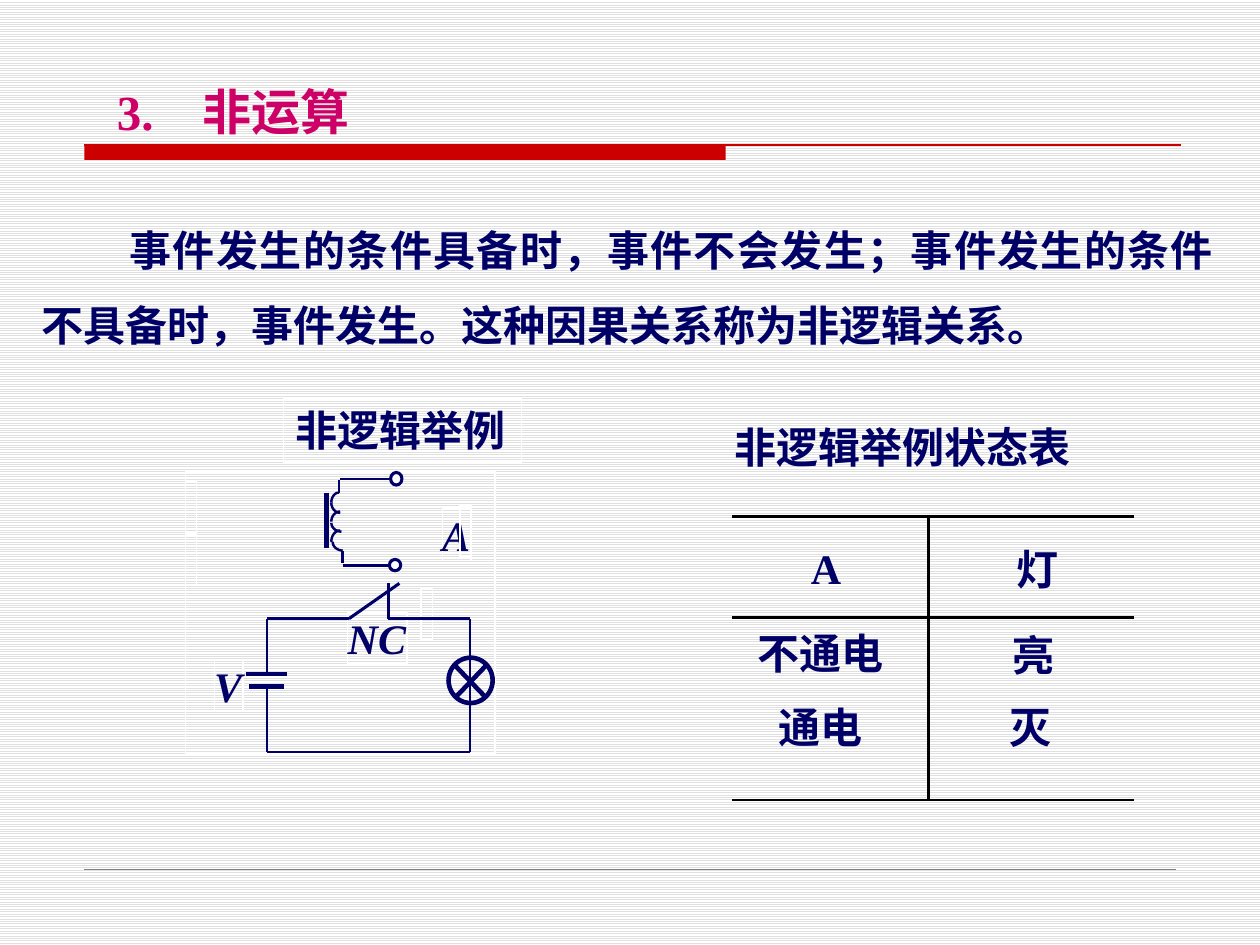
from dataclasses import dataclass
from math import cos, pi, sin

from lxml.etree import SubElement
from pptx import Presentation
from pptx.dml.color import RGBColor as Color
from pptx.enum.dml import MSO_PATTERN as Pattern
from pptx.enum.lang import MSO_LANGUAGE_ID as Language
from pptx.enum.shapes import MSO_CONNECTOR as Connector, MSO_SHAPE as Shape
from pptx.enum.text import MSO_ANCHOR as Anchor, MSO_AUTO_SIZE as AutoSize, PP_ALIGN as Align
from pptx.oxml.ns import qn
from pptx.util import Inches, Pt


@dataclass(frozen=True)
class Theme:
    font: str = "Times New Roman"
    ink: str = "000066"
    title: str = "CC0066"
    accent: str = "CC0000"
    rule: str = "000000"
    footer: str = "808080"
    white: str = "FFFFFF"
    stripe: str = "E0E0E0"
    title_size: int = 28
    body_size: int = 24
    wire: float = 1.38
    switch: float = 1.75
    heavy: float = 2.63
    table: float = 1.5
    thin: float = 0.75


THEME = Theme()

TITLE = "3.　非运算"
BODY = ("事件发生的条件具备时，事件不会发生；事件发生的条件"
        "不具备时，事件发生。这种因果关系称为非逻辑关系。")
CIRCUIT_TITLE = "非逻辑举例"
TABLE_TITLE = "非逻辑举例状态表"

# text, (left, top, width, height), inset, line spacing
STATES = [
    ("A", (6.27, 4.35, 0.57, 0.36), False, 0.9),
    ("灯", (8.07, 4.31, 0.28, 0.4), False, 1.0),
    ("不通电", (5.91, 4.93, 1.21, 0.5), True, 1.0),
    ("亮", (7.93, 4.95, 0.54, 0.5), True, 1.0),
    ("通电", (6.08, 5.52, 0.87, 0.5), True, 1.0),
    ("灭", (7.91, 5.52, 0.54, 0.5), True, 1.0),
]
TABLE_LEFT, TABLE_RIGHT, TABLE_DIVIDER = 5.81, 9, 7.37
TABLE_RULES = [4.1, 4.9, 6.35]

CIRCUIT_LABELS = [
    ("A", (3.51, 4.04, 0.23, 0.41)),
    ("V", (1.7, 5.24, 0.23, 0.41)),
    ("NC", (2.76, 4.86, 0.47, 0.41)),
]
CIRCUIT_FRAME = (1.47, 3.74, 2.46, 2.24)
SMALL_FRAMES = [(1.47, 3.82), (1.47, 4.24), (3.65, 4.01), (3.34, 4.67)]
SMALL_FRAME_SIZE = (0.09, 0.41)

# Loop geometry: battery side, lamp side, top and bottom wires
LEFT, RIGHT, TOP, BOTTOM = 2.12, 3.73, 4.91, 5.97
SWITCH_LEFT, SWITCH_RIGHT = 2.77, 3.08
SEGMENTS = {
    THEME.wire: [
        (2.7, 3.8, 3.14, 3.8), (2.69, 3.81, 2.69, 3.91),
        (2.72, 4.37, 2.72, 4.47), (2.72, 4.49, 3.14, 4.49),
        (LEFT, TOP, SWITCH_LEFT, TOP), (SWITCH_RIGHT, TOP, RIGHT, TOP),
        (LEFT, TOP, LEFT, 5.34), (LEFT, 5.45, LEFT, BOTTOM),
        (RIGHT, BOTTOM, LEFT, BOTTOM), (RIGHT, TOP, RIGHT, BOTTOM),
    ],
    THEME.switch: [
        (SWITCH_LEFT, TOP, 3.17, 4.63), (SWITCH_RIGHT, TOP, SWITCH_RIGHT, 4.63),
    ],
    THEME.heavy: [
        (1.95, 5.35, 2.28, 5.35), (1.98, 5.45, 2.25, 5.45),
        (3.61, 5.28, 3.86, 5.54), (3.61, 5.54, 3.86, 5.28),
        (2.59, 3.91, 2.59, 4.35),
    ],
}
LAMP = (3.56, 5.22, 0.35, 0.36)
TERMINALS = [(3.1, 3.75, 0.09, 0.1), (3.09, 4.44, 0.09, 0.09)]
# quarter turns of the coil: (right end x, y), (left end x, y)
COIL_ARCS = [
    ((2.69, 3.91), (2.63, 3.99)), ((2.7, 4.07), (2.63, 3.99)),
    ((2.7, 4.06), (2.63, 4.14)), ((2.71, 4.22), (2.63, 4.15)),
    ((2.7, 4.21), (2.63, 4.3)), ((2.72, 4.37), (2.64, 4.3)),
]


def rgb(value):
    return Color.from_string(value)


def add_line(slide, ends, color, width):
    line = slide.shapes.add_connector(Connector.STRAIGHT, *map(Inches, ends))
    line.line.color.rgb = rgb(color)
    line.line.width = Pt(width)
    SubElement(line._element.spPr, qn("a:effectLst"))


def style_shape(shape, fill=None, color=None, width=THEME.thin):
    shape.shadow.inherit = False
    if fill:
        shape.fill.solid()
        shape.fill.fore_color.rgb = rgb(fill)
    else:
        shape.fill.background()
    if color:
        shape.line.color.rgb = rgb(color)
        shape.line.width = Pt(width)
    else:
        shape.line.fill.background()


def add_outline(slide, kind, place, **style):
    shape = slide.shapes.add_shape(kind, *map(Inches, place))
    style_shape(shape, **style)
    return shape


def write(box, text, inset=True, wrap=False, align=Align.LEFT, spacing=1.0,
          indent=0, size=THEME.body_size, color=THEME.ink, italic=False):
    frame = box.text_frame
    frame.word_wrap = wrap
    frame.auto_size = AutoSize.SHAPE_TO_FIT_TEXT
    frame.vertical_anchor = Anchor.TOP
    if not inset:
        frame.margin_left = frame.margin_right = 0
        frame.margin_top = frame.margin_bottom = 0
    para = frame.paragraphs[0]
    para.alignment, para.line_spacing = align, spacing
    if indent:
        para._p.get_or_add_pPr().set("indent", str(Inches(indent)))
    span = para.add_run()
    span.text = text
    font = span.font
    font.name, font.size = THEME.font, Pt(size)
    font.bold, font.italic = True, italic
    font.color.rgb = rgb(color)
    font.language_id = Language.SIMPLIFIED_CHINESE


def add_text(slide, text, place, **style):
    write(slide.shapes.add_textbox(*map(Inches, place)), text, **style)


def add_coil_arc(slide, right_end, left_end, steps=8):
    """Draw a quarter ellipse, level at its right end and upright at its left."""
    (right, level), (left, middle) = right_end, left_end
    angles = [pi / 2 * step / steps for step in range(steps + 1)]
    points = [(Inches(right - (right - left) * sin(angle)),
               Inches(middle + (level - middle) * cos(angle))) for angle in angles]
    outline = slide.shapes.build_freeform(*points[0])
    outline.add_line_segments(points[1:], close=False)
    style_shape(outline.convert_to_shape(), color=THEME.ink, width=THEME.wire)


def draw_page_frame(slide):
    fill = slide.background.fill
    fill.patterned()
    fill.pattern = Pattern.LIGHT_HORIZONTAL
    fill.fore_color.rgb, fill.back_color.rgb = rgb(THEME.stripe), rgb(THEME.white)
    add_outline(slide, Shape.RECTANGLE, (0.67, 1.15, 5.09, 0.12), fill=THEME.accent)
    add_line(slide, (0.67, 1.15, 9.37, 1.15), THEME.accent, THEME.thin)
    add_line(slide, (0.67, 6.9, 9.33, 6.9), THEME.footer, 0.25)


def draw_state_table(slide):
    add_text(slide, TABLE_TITLE, (5.83, 3.39, 3.07, 0.36),
             inset=False, wrap=True, spacing=0.9)
    for y in TABLE_RULES:
        add_line(slide, (TABLE_LEFT, y, TABLE_RIGHT, y), THEME.rule, THEME.table)
    add_line(slide, (TABLE_DIVIDER, TABLE_RULES[0], TABLE_DIVIDER, TABLE_RULES[-1]),
             THEME.rule, THEME.table)
    for text, place, inset, spacing in STATES:
        add_text(slide, text, place, inset=inset, wrap=not inset,
                 align=Align.CENTER, spacing=spacing)


def draw_circuit(slide):
    add_outline(slide, Shape.RECTANGLE, CIRCUIT_FRAME, color=THEME.white)
    for text, place in CIRCUIT_LABELS:
        box = add_outline(slide, Shape.RECTANGLE, place, color=THEME.white)
        write(box, text, inset=False, italic=True)
    for corner in SMALL_FRAMES:
        add_outline(slide, Shape.RECTANGLE, corner + SMALL_FRAME_SIZE, color=THEME.white)
    for width, segments in SEGMENTS.items():
        for ends in segments:
            add_line(slide, ends, THEME.ink, width)
    add_outline(slide, Shape.OVAL, LAMP, color=THEME.ink, width=THEME.heavy)
    for ends in COIL_ARCS:
        add_coil_arc(slide, *ends)
    for place in TERMINALS:
        add_outline(slide, Shape.OVAL, place, fill=THEME.white,
                    color=THEME.ink, width=THEME.switch)
    box = add_outline(slide, Shape.RECTANGLE, (2.25, 3.16, 1.89, 0.51),
                      color=THEME.white, width=1)
    write(box, CIRCUIT_TITLE)


def main():
    deck = Presentation()
    deck.slide_width, deck.slide_height = Inches(10), Inches(7.5)
    slide = deck.slides.add_slide(deck.slide_layouts[6])
    draw_page_frame(slide)
    draw_state_table(slide)
    add_text(slide, TITLE, (0.41, 0.6, 3.73, 0.57), wrap=True, indent=0.42,
             size=THEME.title_size, color=THEME.title)
    add_text(slide, BODY, (0.23, 1.53, 9.5, 1.3), wrap=True, indent=0.7,
             align=Align.JUSTIFY, spacing=1.5)
    draw_circuit(slide)
    deck.save("out.pptx")


if __name__ == "__main__":
    main()
